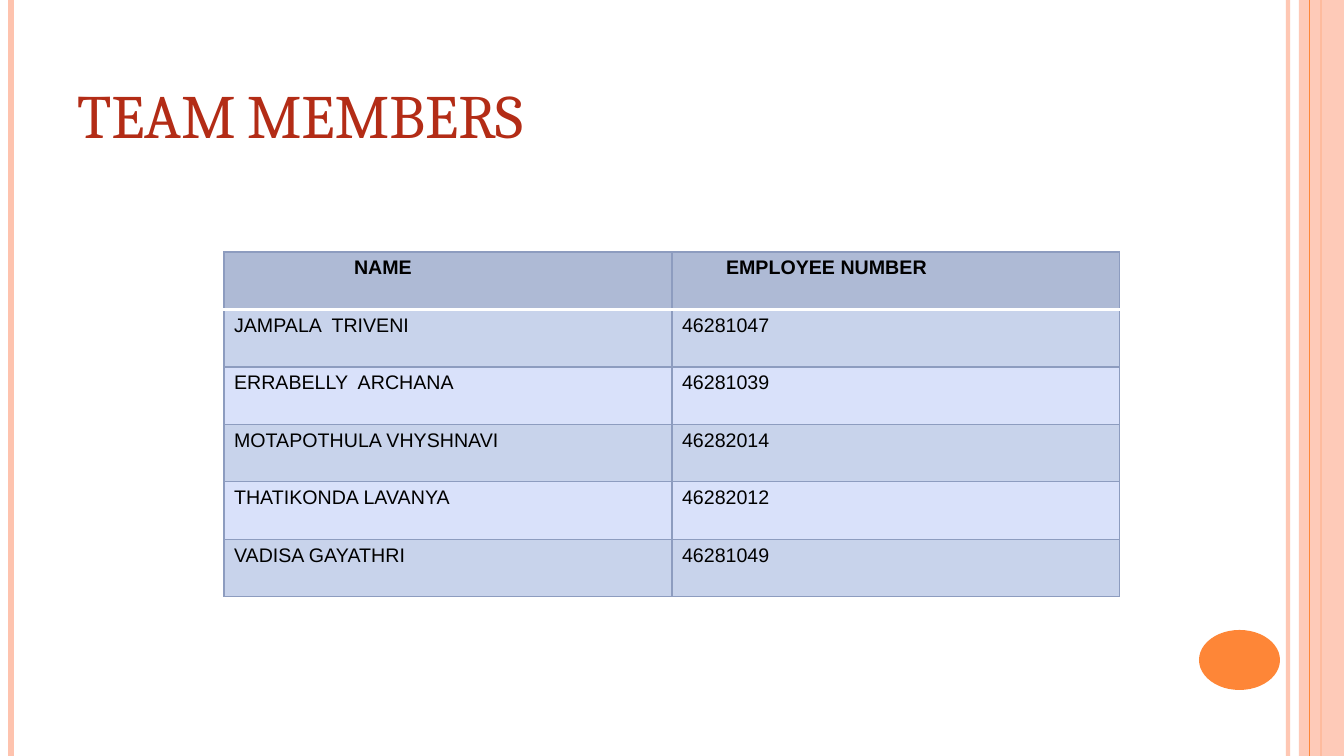
from dataclasses import dataclass

from lxml import etree
from pptx import Presentation
from pptx import util as u
from pptx.dml.color import RGBColor
from pptx.enum import shapes, text
from pptx.oxml import ns

SLIDE_W, SLIDE_H = 1344, 756
PX = u.Inches(7.5) / SLIDE_H

COLORS = {
    "peach": "FEC3AE",
    "orange": "FE8637",
    "title": "B32C16",
    "header": "AEBAD5",
    "odd_row": "C8D3EB",
    "even_row": "D9E1FA",
    "border": "8D9CBF",
    "white": "FFFFFF",
    "black": "000000",
}


@dataclass(frozen=True)
class Stripe:
    x: int
    color: str
    points: float
    opacity: int = 100


@dataclass(frozen=True)
class Panel:
    kind: shapes.MSO_SHAPE
    box: tuple[int, int, int, int]
    color: str
    opacity: int = 100


@dataclass(frozen=True)
class Heading:
    label: str
    indent: int


BACK_STRIPES = [
    Stripe(1288, "peach", 3, 93),
    Stripe(11, "peach", 4.5),
    Stripe(1321, "orange", 1.5),
]
SIDE_BAND = Panel(shapes.MSO_SHAPE.RECTANGLE, (1299, 0, 45, SLIDE_H), "peach", 87)
BAND_STRIPE = Stripe(1310, "orange", 0.75)
PAGE_BADGE = Panel(shapes.MSO_SHAPE.OVAL, (1199, 630, 81, 60), "orange")

TITLE_BOX = (67, 30, 1098, 126)
TABLE_BOX = (224, 252, 896, 345)
HEADINGS = [Heading("NAME", 120), Heading("EMPLOYEE NUMBER", 44)]
MEMBERS = [
    ("JAMPALA  TRIVENI", "46281047"),
    ("ERRABELLY  ARCHANA", "46281039"),
    ("MOTAPOTHULA VHYSHNAVI", "46282014"),
    ("THATIKONDA LAVANYA", "46282012"),
    ("VADISA GAYATHRI", "46281049"),
]


def px(length: float) -> u.Emu:
    return u.Emu(round(length * PX))


def rgb(color: str) -> RGBColor:
    return RGBColor.from_string(COLORS[color])


def apply(target, values: dict) -> None:
    for name, value in values.items():
        setattr(target, name, value)


def format_font(font, face: str, points: float, color: str, bold: bool) -> None:
    apply(font, {"name": face, "size": u.Pt(points), "bold": bold})
    font.color.rgb = rgb(color)


def set_opacity(element, percent: int) -> None:
    if percent < 100:
        color = next(element.iter(ns.qn("a:srgbClr")))
        etree.SubElement(color, ns.qn("a:alpha"), val=str(percent * 1000))


def draw_stripe(slide, stripe: Stripe) -> None:
    line = slide.shapes.add_connector(
        shapes.MSO_CONNECTOR.STRAIGHT, px(stripe.x), 0, px(stripe.x), px(SLIDE_H))
    line.line.color.rgb = rgb(stripe.color)
    line.line.width = u.Pt(stripe.points)
    properties = line._element.spPr
    set_opacity(properties, stripe.opacity)
    etree.SubElement(properties, ns.qn("a:effectLst"))


def draw_panel(slide, panel: Panel) -> None:
    shape = slide.shapes.add_shape(panel.kind, *map(px, panel.box))
    shape.shadow.inherit = False
    shape.fill.solid()
    shape.fill.fore_color.rgb = rgb(panel.color)
    shape.line.fill.background()
    set_opacity(shape._element.spPr, panel.opacity)


def draw_title(slide, words: str) -> None:
    title = slide.shapes.title
    apply(title, dict(zip(("left", "top", "width", "height"), map(px, TITLE_BOX))))
    frame = title.text_frame
    apply(frame, {
        "text": words,
        "word_wrap": True,
        "auto_size": text.MSO_AUTO_SIZE.NONE,
        "vertical_anchor": text.MSO_ANCHOR.BOTTOM,
    })
    paragraph = frame.paragraphs[0]
    paragraph.alignment = text.PP_ALIGN.LEFT
    run = paragraph.runs[0]
    format_font(run.font, "Cambria", 44, "title", False)
    run._r.get_or_add_rPr().set("cap", "small")


def set_borders(cell, edges: dict[str, tuple[str, float]]) -> None:
    properties = cell._tc.get_or_add_tcPr()
    for position, (edge, (color, points)) in enumerate(edges.items()):
        line = etree.Element(ns.qn(f"a:{edge}"), w=str(u.Pt(points)))
        fill = etree.SubElement(line, ns.qn("a:solidFill"))
        etree.SubElement(fill, ns.qn("a:srgbClr"), val=COLORS[color])
        properties.insert(position, line)


def fill_cell(cell, words: str, row: int, indent: int) -> None:
    is_header = row == 0
    cell.text = words
    cell.fill.solid()
    cell.fill.fore_color.rgb = rgb(
        "header" if is_header else "odd_row" if row % 2 else "even_row")
    paragraph = cell.text_frame.paragraphs[0]
    format_font(paragraph.runs[0].font, "Arial", 14, "black", is_header)
    if indent:
        paragraph._p.get_or_add_pPr().set("marL", str(px(indent)))
    # The rule under the header is white and belongs to both rows it touches
    edges = dict.fromkeys(("lnL", "lnR", "lnT", "lnB"), ("border", 1))
    if row < 2:
        edges["lnB" if is_header else "lnT"] = ("white", 2)
    set_borders(cell, edges)


def draw_members(slide) -> None:
    rows = [tuple(heading.label for heading in HEADINGS), *MEMBERS]
    left, top, width, height = TABLE_BOX
    table = slide.shapes.add_table(
        len(rows), len(HEADINGS), *map(px, TABLE_BOX)).table
    table.horz_banding = False
    for column in table.columns:
        column.width = px(width / len(HEADINGS))
    for row, values in enumerate(rows):
        table.rows[row].height = px(height / len(rows))
        for column, words in enumerate(values):
            indent = HEADINGS[column].indent if row == 0 else 0
            fill_cell(table.cell(row, column), words, row, indent)


def main() -> None:
    deck = Presentation()
    apply(deck, {"slide_width": px(SLIDE_W), "slide_height": px(SLIDE_H)})
    slide = deck.slides.add_slide(deck.slide_layouts.get_by_name("Title Only"))

    # Side decoration
    for stripe in BACK_STRIPES:
        draw_stripe(slide, stripe)
    draw_panel(slide, SIDE_BAND)
    draw_stripe(slide, BAND_STRIPE)
    draw_panel(slide, PAGE_BADGE)

    # Content
    draw_title(slide, "TEAM MEMBERS")
    draw_members(slide)

    deck.save("out.pptx")


if __name__ == "__main__":
    main()
